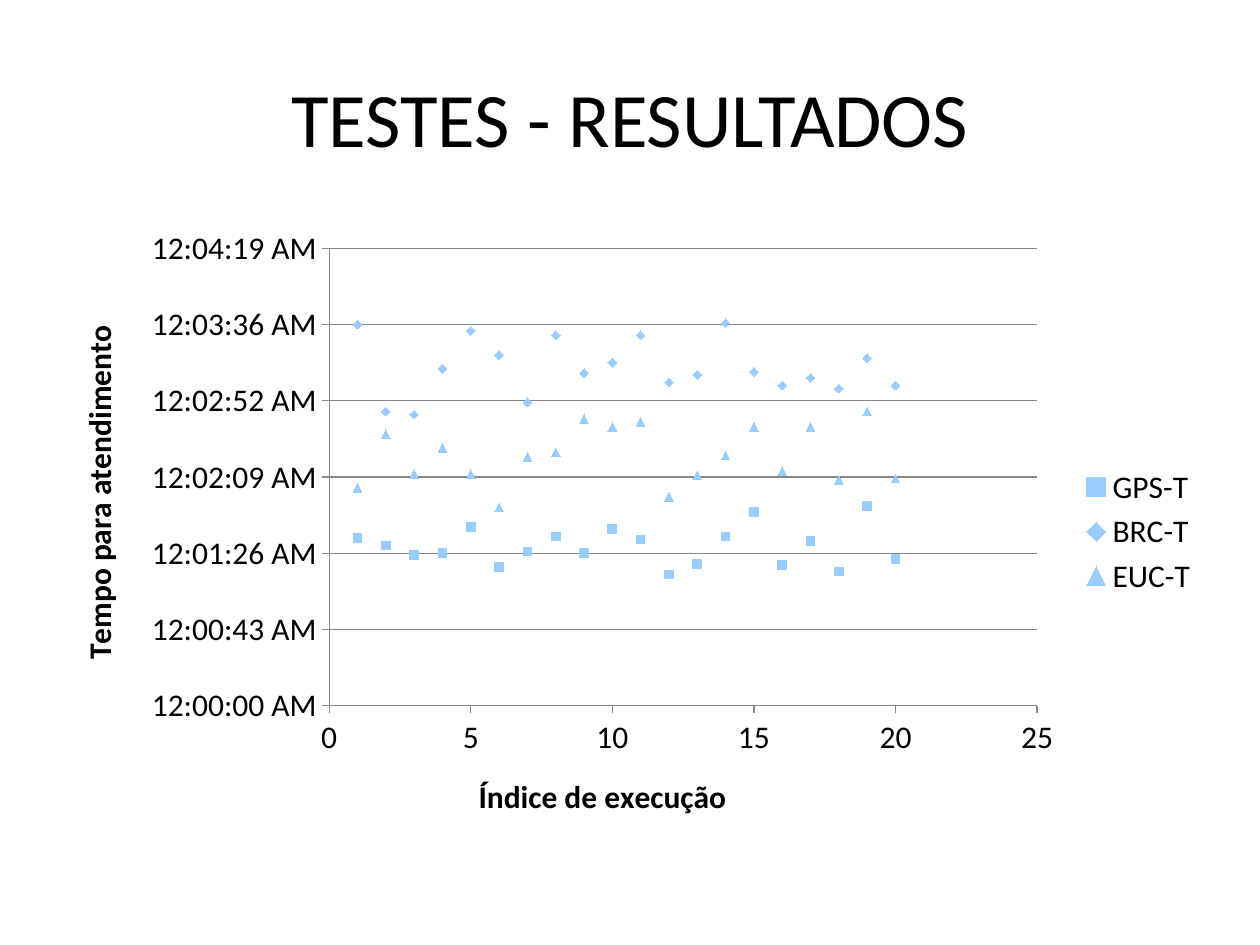
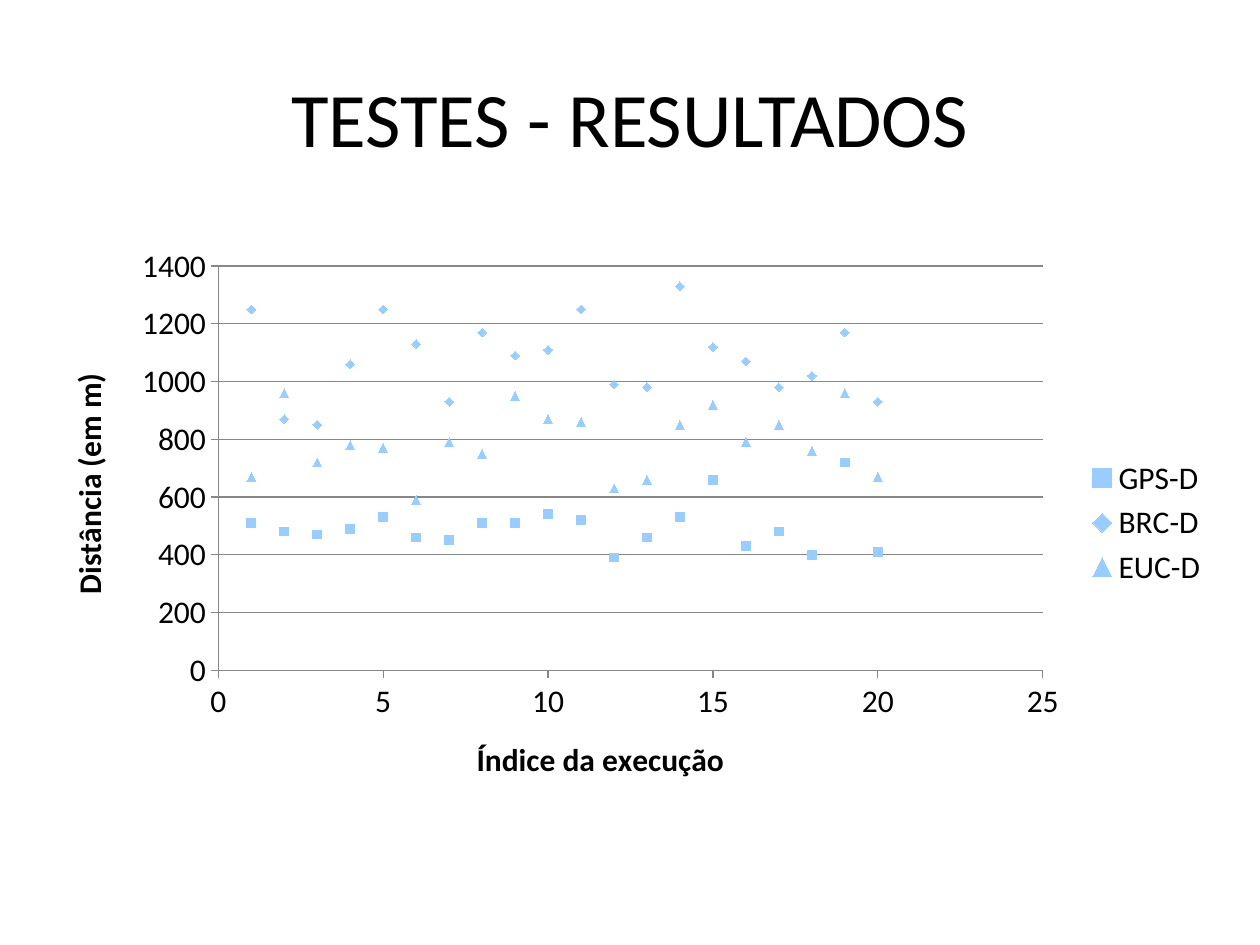
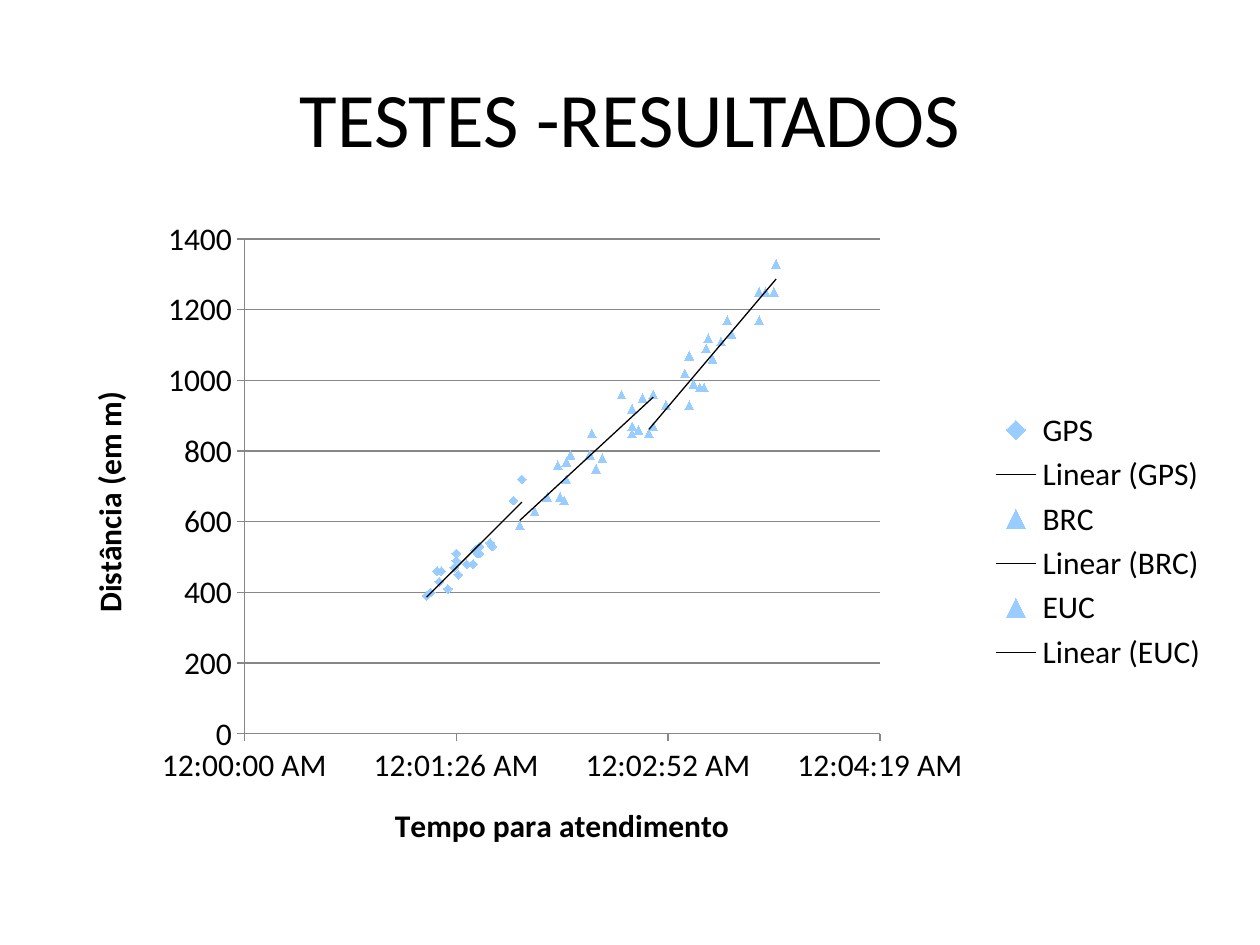
from lxml import etree
from pptx import Presentation
from pptx.chart.data import XyChartData
from pptx.dml.color import RGBColor
from pptx.enum.chart import XL_CHART_TYPE, XL_LEGEND_POSITION, XL_MARKER_STYLE
from pptx.enum.text import MSO_ANCHOR, PP_ALIGN
from pptx.oxml import parse_xml
from pptx.oxml.ns import nsdecls, qn
from pptx.util import Inches, Pt

SCATTER = XL_CHART_TYPE.XY_SCATTER
LEGEND_RIGHT = XL_LEGEND_POSITION.RIGHT
SQUARE = XL_MARKER_STYLE.SQUARE
DIAMOND = XL_MARKER_STYLE.DIAMOND
TRIANGLE = XL_MARKER_STYLE.TRIANGLE
AUTOMATIC = XL_MARKER_STYLE.AUTOMATIC
MIDDLE = MSO_ANCHOR.MIDDLE
CENTER = PP_ALIGN.CENTER

FONT = "Calibri"
COLORS = {"background": "FFFFFF", "text": "000000", "axis": "878787",
          "marker": "99CCFF", "trend": "000000"}
TITLE_ONLY = 5
TIME_FORMAT = "h:mm:ss AM/PM"
TIME_LABEL = "Tempo para atendimento"
DISTANCE_LABEL = "Distância (em m)"

RUNS = range(1, 21)
TIMES = {
    "GPS": [0.0011, 0.00105, 0.00099, 0.001, 0.00117, 0.00091, 0.00101,
            0.00111, 0.001, 0.00116, 0.00109, 0.00086, 0.00093, 0.00111,
            0.00127, 0.00092, 0.00108, 0.00088, 0.00131, 0.00096],
    "BRC": [0.0025, 0.00193, 0.00191, 0.00221, 0.00246, 0.0023, 0.00199,
            0.00243, 0.00218, 0.00225, 0.00243, 0.00212, 0.00217, 0.00251,
            0.00219, 0.0021, 0.00215, 0.00208, 0.00228, 0.0021],
    "EUC": [0.00143, 0.00178, 0.00152, 0.00169, 0.00152, 0.0013, 0.00163,
            0.00166, 0.00188, 0.00183, 0.00186, 0.00137, 0.00151, 0.00164,
            0.00183, 0.00154, 0.00183, 0.00148, 0.00193, 0.00149],
}
DISTANCES = {
    "GPS": [510, 480, 470, 490, 530, 460, 450, 510, 510, 540,
            520, 390, 460, 530, 660, 430, 480, 400, 720, 410],
    "BRC": [1250, 870, 850, 1060, 1250, 1130, 930, 1170, 1090, 1110,
            1250, 990, 980, 1330, 1120, 1070, 980, 1020, 1170, 930],
    "EUC": [670, 960, 720, 780, 770, 590, 790, 750, 950, 870,
            860, 630, 660, 850, 920, 790, 850, 760, 960, 670],
}


def color(name):
    return RGBColor.from_string(COLORS[name])


class Deck:
    """Hold the shared style and the current slide."""

    def __init__(self):
        self.presentation = Presentation()
        self.presentation.slide_width = Inches(10)
        self.presentation.slide_height = Inches(7.5)
        self.slide = None

    def place(self, shape, left, top, width, height):
        shape.left, shape.width = Inches(left), Inches(width)
        shape.top, shape.height = Inches(top), Inches(height)

    def style_font(self, font, size, bold=False):
        font.name, font.size, font.bold = FONT, Pt(size), bold
        font.color.rgb = color("text")

    def add_slide(self, title):
        layout = self.presentation.slide_layouts[TITLE_ONLY]
        self.slide = self.presentation.slides.add_slide(layout)
        background = self.slide.background.fill
        background.solid()
        background.fore_color.rgb = color("background")
        shape = self.slide.shapes.title
        self.place(shape, 0.5, 0.3, 9, 1.25)
        shape.text_frame.vertical_anchor = MIDDLE
        paragraph = shape.text_frame.paragraphs[0]
        paragraph.alignment = CENTER
        run = paragraph.add_run()
        run.text = title
        self.style_font(run.font, 44)

    def add_scatter(self, box, series_points, markers, trend=False):
        data = XyChartData()
        for name, points in series_points.items():
            series = data.add_series(name)
            for x, y in points:
                series.add_data_point(x, y)
        frame = self.slide.shapes.add_chart(SCATTER, *map(Inches, box), data)
        chart = frame.chart
        chart.has_title = False
        self.style_font(chart.font, 18)
        chart.has_legend = True
        chart.legend.position = LEGEND_RIGHT
        chart.legend.include_in_layout = False
        plot = chart.plots[0]
        plot.vary_by_categories = False
        for series, style in zip(plot.series, markers):
            series.format.line.fill.background()
            series.marker.style = style
            series.marker.size = 5
            series.marker.format.fill.solid()
            series.marker.format.fill.fore_color.rgb = color("marker")
            series.marker.format.line.fill.background()
            if trend:
                self.add_trend(series)
        return chart

    def add_trend(self, series):
        trendline = parse_xml(f"<c:trendline {nsdecls('c')}/>")
        properties = etree.SubElement(trendline, qn("c:spPr"))
        line = etree.SubElement(properties, qn("a:ln"), w=str(Pt(0.75)))
        fill = etree.SubElement(line, qn("a:solidFill"))
        etree.SubElement(fill, qn("a:srgbClr"), val=COLORS["trend"])
        for tag, value in (("trendlineType", "linear"), ("dispRSqr", "0"), ("dispEq", "0")):
            etree.SubElement(trendline, qn(f"c:{tag}"), val=value)
        series._element.find(qn("c:xVal")).addprevious(trendline)

    def format_axis(self, axis, label, maximum, step, number_format="General", vertical=False):
        axis.minimum_scale, axis.maximum_scale = 0, maximum
        axis.major_unit = step
        axis.tick_labels.number_format = number_format
        axis.tick_labels.number_format_is_linked = False
        axis.has_major_gridlines = vertical
        lines = [axis.format.line]
        if vertical:
            lines.append(axis.major_gridlines.format.line)
        for line in lines:
            line.color.rgb = color("axis")
            line.width = Pt(0.75)
        frame = axis.axis_title.text_frame
        run = frame.paragraphs[0].add_run()
        run.text = label
        self.style_font(run.font, 18, bold=True)
        if vertical:
            body = frame._txBody.find(qn("a:bodyPr"))
            body.set("rot", "-5400000")
            body.set("vert", "horz")


def main():
    deck = Deck()
    run_charts = (
        ("T", TIMES, (0.39, 1.72, 9.22, 5), "Índice de execução",
         (TIME_LABEL, 0.003, 0.0005, TIME_FORMAT)),
        ("D", DISTANCES, (0.31, 1.87, 9.38, 4.56), "Índice da execução",
         (DISTANCE_LABEL, 1400, 200)),
    )
    for suffix, measures, box, run_label, value_axis in run_charts:
        deck.add_slide("TESTES - RESULTADOS")
        points = {f"{name}-{suffix}": zip(RUNS, values) for name, values in measures.items()}
        chart = deck.add_scatter(box, points, (SQUARE, DIAMOND, AUTOMATIC))
        deck.format_axis(chart.category_axis, run_label, 25, 5)
        deck.format_axis(chart.value_axis, *value_axis, vertical=True)

    deck.add_slide("TESTES -RESULTADOS")
    points = {name: zip(TIMES[name], DISTANCES[name]) for name in TIMES}
    chart = deck.add_scatter((0.47, 1.64, 9.22, 5.31), points,
                             (DIAMOND, TRIANGLE, AUTOMATIC), trend=True)
    deck.format_axis(chart.category_axis, TIME_LABEL, 0.003, 0.001, TIME_FORMAT)
    deck.format_axis(chart.value_axis, DISTANCE_LABEL, 1400, 200, vertical=True)
    deck.presentation.save("out.pptx")


if __name__ == "__main__":
    main()
